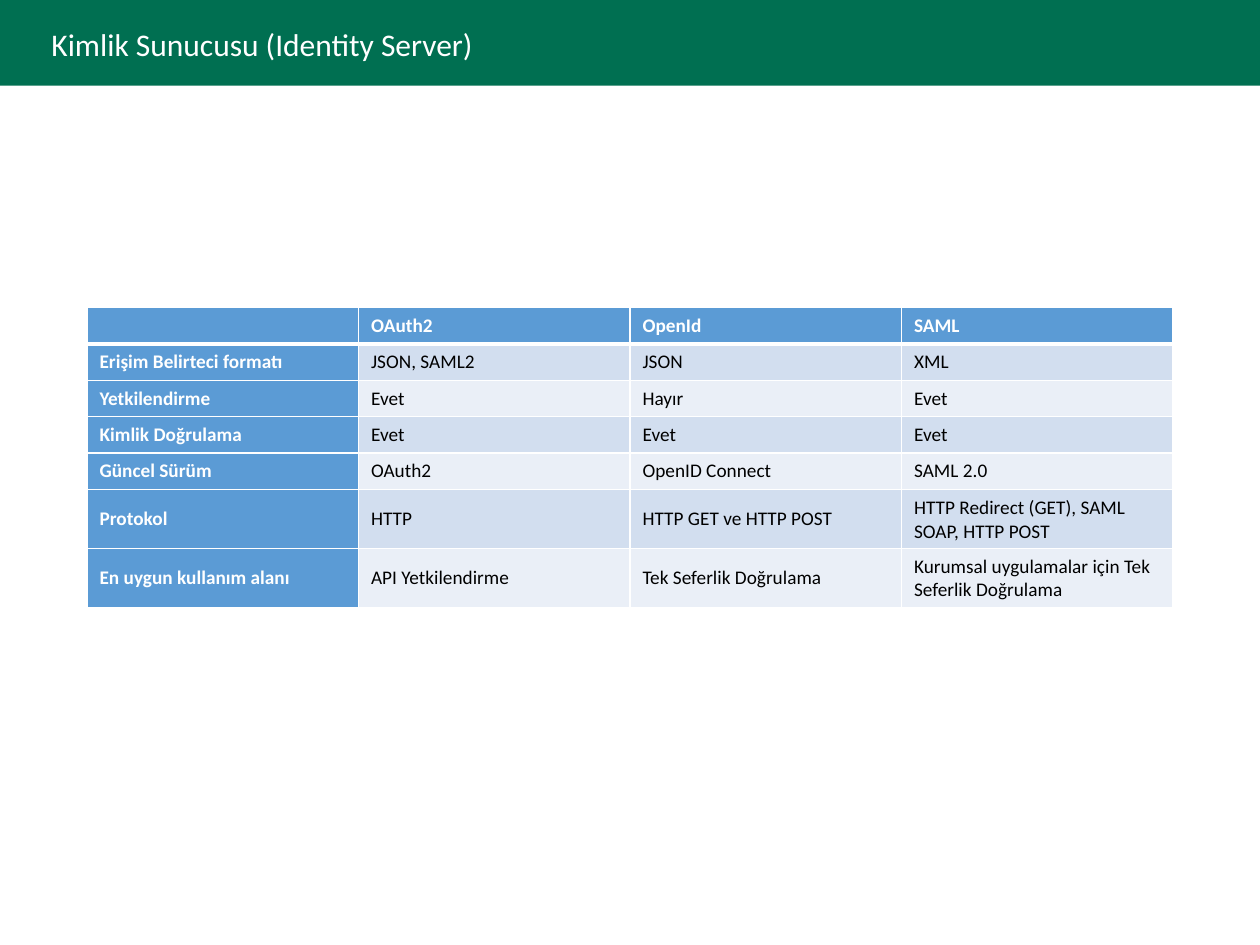
from lxml import etree
from pptx import Presentation
from pptx import util as u
from pptx.dml.color import RGBColor
from pptx.enum import shapes, text
from pptx.oxml.ns import qn

COLOURS = {
    "banner": "006F51",
    "header": "5B9BD5",
    "band_dark": "D2DEEF",
    "band_light": "EAEFF7",
    "white": "FFFFFF",
    "black": "000000",
}
FONT = "Calibri"
CELL_SIZE = 11
ROWS = [
    ["", "OAuth2", "OpenId", "SAML"],
    ["Erişim Belirteci formatı", "JSON, SAML2", "JSON", "XML"],
    ["Yetkilendirme", "Evet", "Hayır", "Evet"],
    ["Kimlik Doğrulama", "Evet", "Evet", "Evet"],
    ["Güncel Sürüm", "OAuth2", "OpenID Connect", "SAML 2.0"],
    ["Protokol", "HTTP", "HTTP GET ve HTTP POST",
     "HTTP Redirect (GET), SAML SOAP, HTTP POST"],
    ["En uygun kullanım alanı", "API Yetkilendirme", "Tek Seferlik Doğrulama",
     "Kurumsal uygulamalar için Tek Seferlik Doğrulama"],
]
ROW_HEIGHTS = [20.8] * 5 + [33.7] * 2


def colour(name):
    return RGBColor.from_string(COLOURS[name])


def fill_with(part, name):
    part.fill.solid()
    part.fill.fore_color.rgb = colour(name)


def write(para, words, size, ink, bold=False):
    span = para.add_run()
    span.text = words
    values = {"name": FONT, "size": u.Pt(size), "bold": bold}
    for key, value in values.items():
        setattr(span.font, key, value)
    span.font.color.rgb = colour(ink)


def set_borders(cell, widths):
    """Draw white cell borders; widths maps L, R, T, B to points."""
    properties = cell._tc.get_or_add_tcPr()
    for side, width in widths.items():
        line = etree.SubElement(properties, qn(f"a:ln{side}"), w=str(u.Pt(width)))
        solid = etree.SubElement(line, qn("a:solidFill"))
        etree.SubElement(solid, qn("a:srgbClr"), val=COLOURS["white"])


def add_banner(page, left, top, width, height):
    group = page.shapes.add_group_shape()
    # Green bar
    bar = group.shapes.add_shape(shapes.MSO_SHAPE.RECTANGLE, u.Pt(left),
                                 u.Pt(top), u.Pt(width), u.Pt(height))
    bar.shadow.inherit = False
    fill_with(bar, "banner")
    bar.line.fill.background()
    # Title
    box = group.shapes.add_textbox(u.Pt(left + 22.3), u.Pt(top + 10.8),
                                   u.Pt(552), u.Pt(29))
    frame = box.text_frame
    frame.word_wrap = True
    frame.auto_size = text.MSO_AUTO_SIZE.SHAPE_TO_FIT_TEXT
    write(frame.paragraphs[0], "Kimlik Sunucusu (Identity Server)", 18, "white")


def add_comparison(page, left, top, width, height):
    table = page.shapes.add_table(len(ROWS), len(ROWS[0]), u.Pt(left), u.Pt(top),
                                  u.Pt(width), u.Pt(height)).table
    table.first_col = True
    for column in table.columns:
        column.width = u.Pt(width / len(ROWS[0]))
    for row, row_height in zip(table.rows, ROW_HEIGHTS):
        row.height = u.Pt(row_height)

    for i, values in enumerate(ROWS):
        for j, words in enumerate(values):
            cell = table.cell(i, j)
            cell.vertical_anchor = text.MSO_ANCHOR.MIDDLE
            # A thicker rule separates the header from the body
            set_borders(cell, {"L": 1, "R": 1, "T": 3 if i == 1 else 1,
                               "B": 3 if i == 0 else 1})
            heading = i == 0 or j == 0
            band = "band_dark" if i % 2 else "band_light"
            fill_with(cell, "header" if heading else band)
            para = cell.text_frame.paragraphs[0]
            if words:
                write(para, words, CELL_SIZE, "white" if heading else "black", heading)
            else:
                # Keeps the empty cell as low as its row
                etree.SubElement(para._p, qn("a:endParaRPr"), sz=str(CELL_SIZE * 100))


def main():
    deck = Presentation()
    deck.slide_width, deck.slide_height = u.Pt(720), u.Pt(540)
    page = deck.slides.add_slide(deck.slide_layouts[6])
    add_banner(page, 0, 0, 720, 49)
    add_comparison(page, 49.7, 175.8, 620.6, sum(ROW_HEIGHTS))
    deck.save("out.pptx")


if __name__ == "__main__":
    main()
